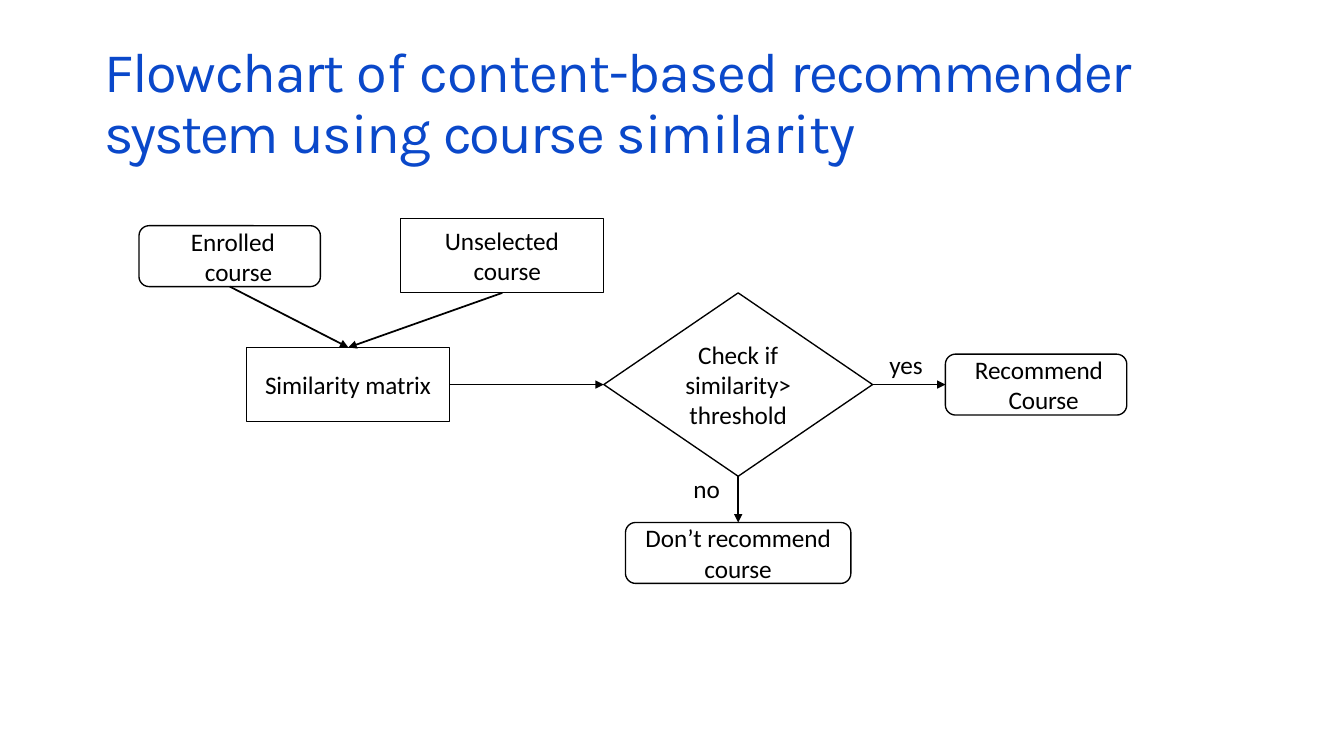
from lxml.etree import SubElement
from pptx import Presentation
from pptx.dml.color import RGBColor
from pptx.enum.shapes import MSO_CONNECTOR, MSO_SHAPE
from pptx.enum.text import MSO_ANCHOR, PP_ALIGN
from pptx.oxml.ns import qn
from pptx.util import Pt

BLUE, BLACK = "0A48CA", "000000"
TITLE_FONT, BODY_FONT = "Karla", "Calibri"
TOP, LEFT, BOTTOM, RIGHT = range(4)

# Text and letter spacing in points
TITLE_RUNS = [
    ("Flowchart ", -0.9), ("of ", -0.1), ("content-based ", -0.8),
    ("recommender ", -1.2), ("system ", -1.6), ("using ", -0.8),
    ("course ", -1.4), ("similarity", -0.5),
]

# Name: shape, (left, top, width, height), lines, (margin, indent) or None if centred
NODES = {
    "enrolled": (MSO_SHAPE.ROUNDED_RECTANGLE, (0, 5, 129.6, 43.5),
                 ["Enrolled", "course"], (45, -10)),
    "unselected": (MSO_SHAPE.RECTANGLE, (187, 0, 145, 53),
                   ["Unselected", "course"], (52, -20.5)),
    "matrix": (MSO_SHAPE.RECTANGLE, (77, 92, 145, 53),
               ["Similarity matrix"], (13, 0)),
    "check": (MSO_SHAPE.DIAMOND, (332, 53, 192, 131),
              ["Check if", "similarity>", "threshold"], None),
    "recommend": (MSO_SHAPE.ROUNDED_RECTANGLE, (576, 96.75, 129.6, 43.5),
                  ["Recommend", "Course"], (43, -24)),
    "reject": (MSO_SHAPE.ROUNDED_RECTANGLE, (347.5, 217, 161, 43.5),
               ["Don’t recommend", "course"], None),
}
ARROWS = [
    ("enrolled", BOTTOM, "matrix", TOP),
    ("unselected", BOTTOM, "matrix", TOP),
    ("matrix", RIGHT, "check", LEFT),
    ("check", RIGHT, "recommend", LEFT),
    ("check", BOTTOM, "reject", TOP),
]
BRANCH_LABELS = [("yes", (536, 92, 26, 24)), ("no", (396, 181, 22, 24))]


def color(hex_string):
    return RGBColor.from_string(hex_string)


def add_run(paragraph, text, font, size, hex_string, spacing=0):
    run = paragraph.add_run()
    run.text = text
    run.font.name = font
    run.font.size = Pt(size)
    run.font.color.rgb = color(hex_string)
    if spacing:
        run._r.get_or_add_rPr().set("spc", str(round(spacing * 100)))


def prepare_frame(shape, anchor, wrap=True, top_inset=0):
    frame = shape.text_frame
    frame.word_wrap = wrap
    frame.vertical_anchor = anchor
    frame.margin_left = frame.margin_right = frame.margin_bottom = 0
    frame.margin_top = Pt(top_inset)
    return frame.paragraphs[0]


def add_title(slide, left, top, width, height):
    box = slide.shapes.add_textbox(Pt(left), Pt(top), Pt(width), Pt(height))
    paragraph = prepare_frame(box, MSO_ANCHOR.TOP, top_inset=6.5)
    paragraph.line_spacing = Pt(43.2)
    paragraph.space_before = Pt(6.4)
    for text, spacing in TITLE_RUNS:
        add_run(paragraph, text, TITLE_FONT, 40, BLUE, spacing)


def add_node(slide, left, top, width, height, kind, lines, hanging):
    shape = slide.shapes.add_shape(kind, Pt(left), Pt(top), Pt(width), Pt(height))
    shape.shadow.inherit = False
    shape.fill.background()
    shape.line.color.rgb = color(BLACK)
    shape.line.width = Pt(0.96)
    paragraph = prepare_frame(shape, MSO_ANCHOR.MIDDLE)
    paragraph.alignment = PP_ALIGN.CENTER
    if hanging:
        margin, indent = hanging
        paragraph.alignment = PP_ALIGN.LEFT
        properties = paragraph._p.get_or_add_pPr()
        properties.set("marL", str(Pt(margin)))
        properties.set("indent", str(Pt(indent)))
    for index, line in enumerate(lines):
        if index:
            paragraph.add_line_break()
        add_run(paragraph, line, BODY_FONT, 18, BLACK, -0.05)
    return shape


def add_arrow(slide, source, source_site, target, target_site):
    connector = slide.shapes.add_connector(MSO_CONNECTOR.STRAIGHT, 0, 0, 0, 0)
    connector.begin_connect(source, source_site)
    connector.end_connect(target, target_site)
    connector.line.color.rgb = color(BLACK)
    connector.line.width = Pt(1.25)
    SubElement(connector.line._get_or_add_ln(), qn("a:tailEnd"), type="triangle")
    SubElement(connector._element.spPr, qn("a:effectLst"))


def add_branch_label(slide, left, top, width, height, text):
    box = slide.shapes.add_textbox(Pt(left), Pt(top), Pt(width), Pt(height))
    paragraph = prepare_frame(box, MSO_ANCHOR.MIDDLE, wrap=False)
    add_run(paragraph, text, BODY_FONT, 18, BLACK)


def add_flowchart(slide, left, top):
    nodes = {}
    for name, (kind, (x, y, width, height), lines, hanging) in NODES.items():
        nodes[name] = add_node(slide, left + x, top + y, width, height,
                               kind, lines, hanging)
    for source, source_site, target, target_site in ARROWS:
        add_arrow(slide, nodes[source], source_site, nodes[target], target_site)
    for text, (x, y, width, height) in BRANCH_LABELS:
        add_branch_label(slide, left + x, top + y, width, height, text)


def main():
    presentation = Presentation()
    presentation.slide_width = Pt(960)
    presentation.slide_height = Pt(540)
    slide = presentation.slides.add_slide(presentation.slide_layouts[6])
    add_title(slide, 74.5, 24.5, 815.5, 93)
    add_flowchart(slide, 99.3, 156.2)
    presentation.save("out.pptx")


if __name__ == "__main__":
    main()
